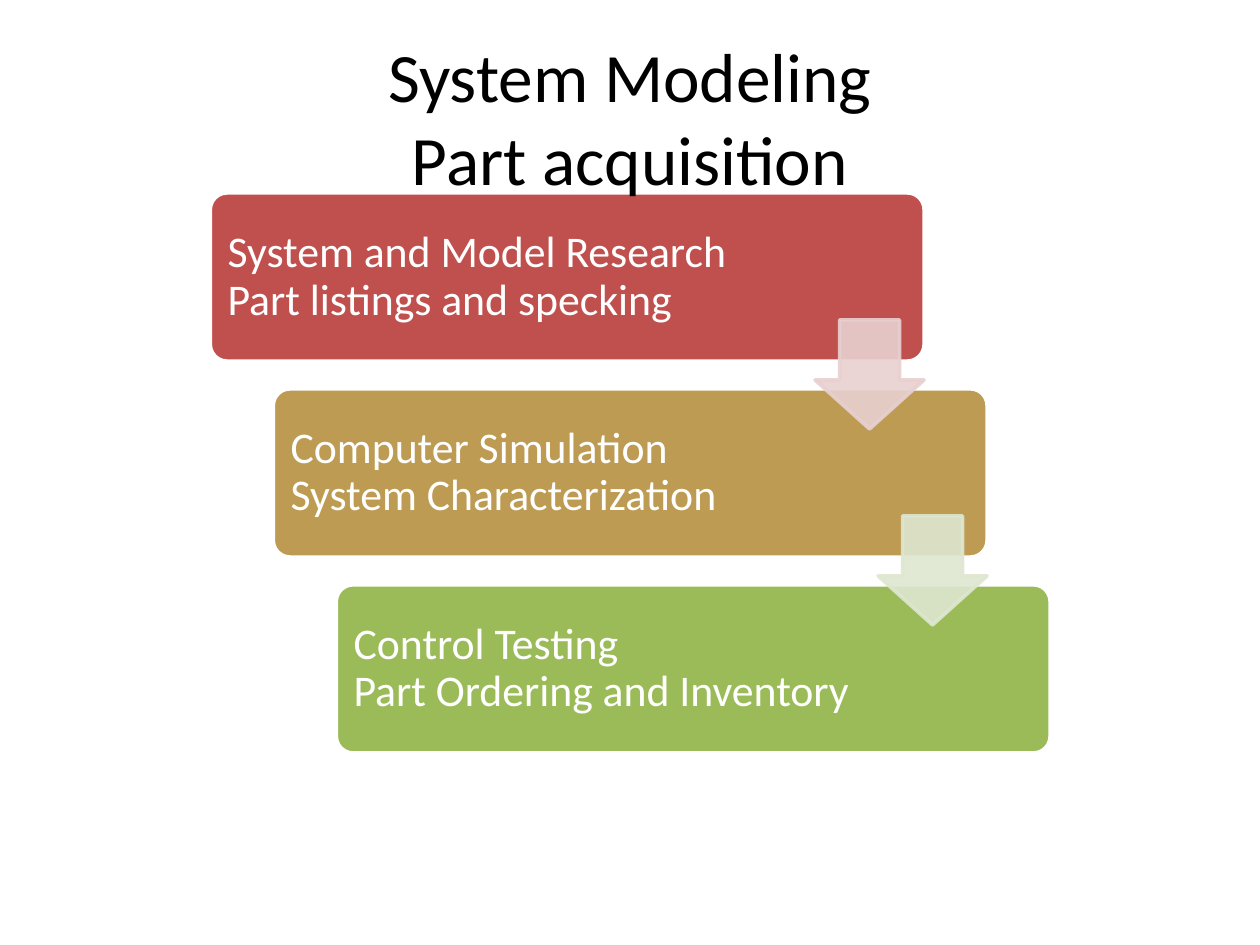
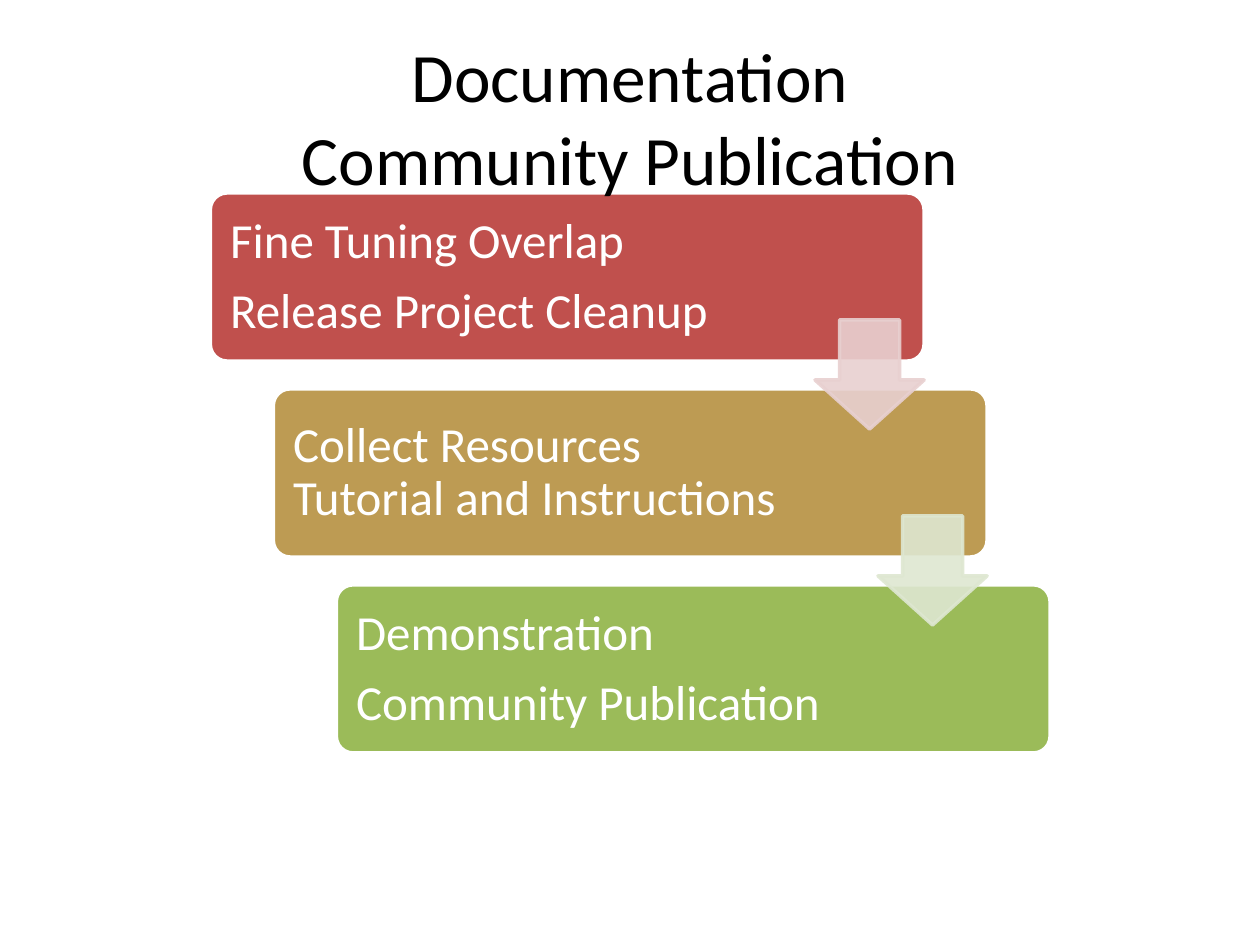
from lxml import etree
from pptx import Presentation
from pptx.dml.color import RGBColor
from pptx.enum.shapes import MSO_SHAPE
from pptx.enum.text import MSO_ANCHOR, PP_ALIGN
from pptx.oxml.ns import qn
from pptx.util import Cm, Pt

ROUND = MSO_SHAPE.ROUNDED_RECTANGLE
DOWN = MSO_SHAPE.DOWN_ARROW
MIDDLE = MSO_ANCHOR.MIDDLE
LEFT, CENTER = PP_ALIGN.LEFT, PP_ALIGN.CENTER

BLACK = RGBColor(0x00, 0x00, 0x00)
WHITE = RGBColor(0xFF, 0xFF, 0xFF)
RED = RGBColor(0xC0, 0x50, 0x4D)
GOLD = RGBColor(0xBD, 0x9B, 0x53)
GREEN = RGBColor(0x9B, 0xBB, 0x59)
PINK = RGBColor(0xE8, 0xD0, 0xD0)
SAGE = RGBColor(0xDE, 0xE7, 0xD1)

STEPS = (RED, GOLD, GREEN)
LINKS = (PINK, SAGE)

# Stair layout in centimetres: first step, its size, and the shift per step
LEFT_X, TOP_Y = 4.24, 3.89
STEP_W, STEP_H = 14.39, 3.39
SHIFT_X, SHIFT_Y = 1.27, 3.95

# In texts, "\v" breaks a line and "\n" starts a paragraph
PAGES = (
    ("System Modeling\vPart acquisition", 25, 0.25, (
        "System and Model Research\vPart listings and specking",
        "Computer Simulation\vSystem Characterization",
        "Control Testing\vPart Ordering and Inventory")),
    ("Documentation\vCommunity Publication", 28, 0.3, (
        "Fine Tuning Overlap\nRelease Project Cleanup",
        "Collect Resources\vTutorial and Instructions",
        "Demonstration\nCommunity Publication")),
)


class Deck:
    """Holds the shared style and the current slide."""

    font = "Calibri"

    def __init__(self):
        """Start an empty 4:3 deck."""
        self.prs = Presentation()
        self.prs.slide_width, self.prs.slide_height = Cm(25.4), Cm(19.05)
        self.slide = None

    def page(self):
        """Add a blank slide and make it current."""
        self.slide = self.prs.slides.add_slide(self.prs.slide_layouts[6])

    def shape(self, kind, x, y, w, h, fill, line, adjust):
        """Draw a filled and outlined preset shape."""
        shape = self.slide.shapes.add_shape(kind, Cm(x), Cm(y), Cm(w), Cm(h))
        shape.shadow.inherit = False
        shape.fill.solid()
        shape.fill.fore_color.rgb = fill
        shape.line.color.rgb = line
        shape.line.width = Pt(2)
        for i, value in enumerate(adjust):
            shape.adjustments[i] = value
        return shape

    def text(self, words, x, y, w, h, size, color, align, pad):
        """Add a wrapped, vertically centred text box; return its frame."""
        box = self.slide.shapes.add_textbox(Cm(x), Cm(y), Cm(w), Cm(h))
        frame = box.text_frame
        frame.word_wrap = True
        frame.vertical_anchor = MIDDLE
        frame.margin_left = frame.margin_right = Cm(pad[0])
        frame.margin_top = frame.margin_bottom = Cm(pad[1])
        frame.text = words
        for para in frame.paragraphs:
            para.alignment = align
            para.font.name = self.font
            para.font.size = Pt(size)
            para.font.color.rgb = color
        return frame

    def title(self, words):
        """Write the slide title."""
        self.text(words, 1.27, 0.76, 22.86, 3.18, 39.6, BLACK, CENTER,
                  (0.25, 0.13))

    def step(self, x, y, fill, words, size, pad):
        """Draw one step of the stair with its label."""
        self.shape(ROUND, x, y, STEP_W, STEP_H, fill, WHITE, [0.1])
        frame = self.text(words, x + 0.1, y + 0.1, 10.73, 3.2, size, WHITE,
                          LEFT, (pad, pad))
        for para in frame.paragraphs:
            para.line_spacing = 0.9
            para.space_after = Pt(0.35 * size)

    def arrow(self, x, y, color):
        """Draw a slightly see-through arrow to the next step."""
        shape = self.shape(DOWN, x, y, 2.2, 2.2, color, color, [0.55, 0.45])
        # Adjustment order of a down arrow: shaft width, then head length
        for tone in shape.element.spPr.iter(qn("a:srgbClr")):
            etree.SubElement(tone, qn("a:alpha")).set("val", "90000")

    def stair(self, labels, size, pad):
        """Draw all steps, then the arrows that link them."""
        spots = [(LEFT_X + i * SHIFT_X, TOP_Y + i * SHIFT_Y)
                 for i in range(len(labels))]
        for (x, y), fill, words in zip(spots, STEPS, labels):
            self.step(x, y, fill, words, size, pad)
        for (x, y), color in zip(spots, LINKS):
            self.arrow(x + 12.19, y + 2.56, color)


def main():
    """Build and save the deck."""
    deck = Deck()
    for title, size, pad, labels in PAGES:
        deck.page()
        deck.stair(labels, size, pad)
        deck.title(title)
    deck.prs.save("out.pptx")


main()
